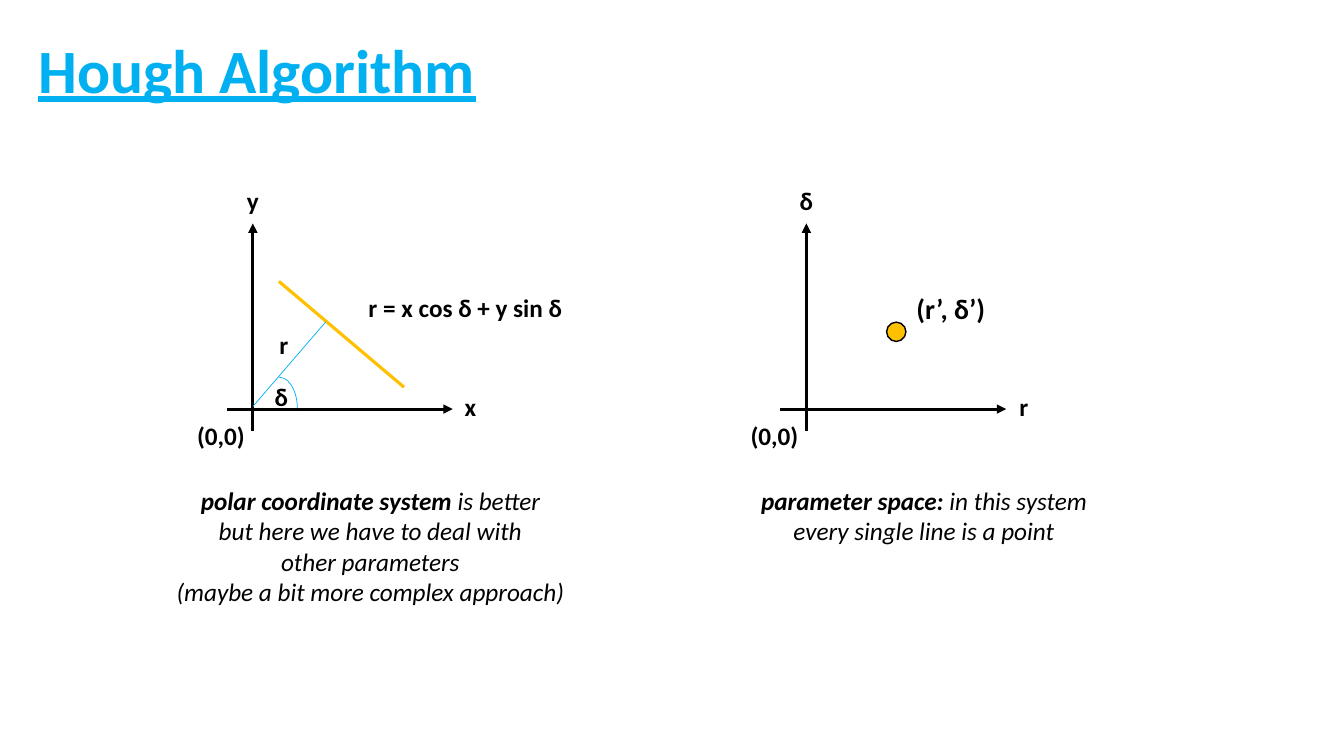
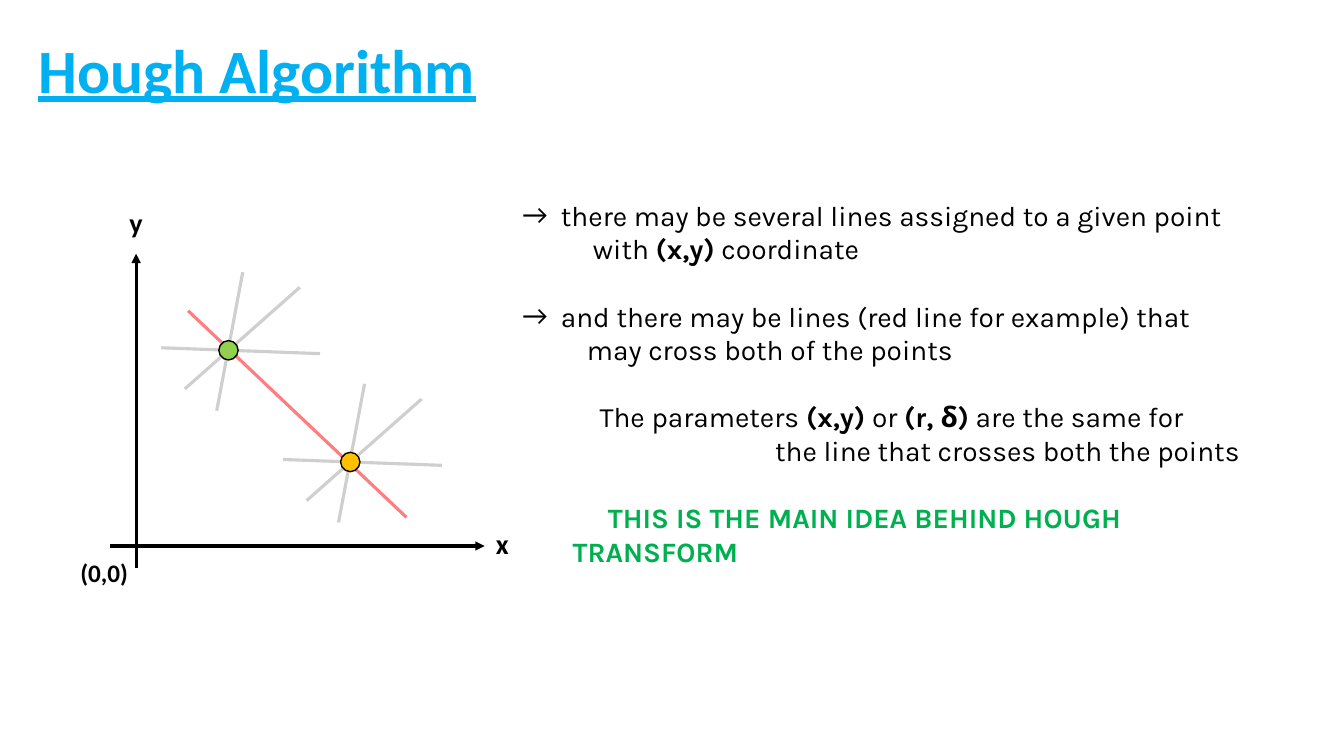
"""Build two slides that explain the Hough algorithm."""
from dataclasses import dataclass

import lxml.etree
import pptx
import pptx.dml.color
import pptx.enum.shapes
import pptx.enum.text
import pptx.oxml.ns
import pptx.util

ALIGN = pptx.enum.text.PP_ALIGN
ANCHOR = pptx.enum.text.MSO_ANCHOR
SHAPE = pptx.enum.shapes.MSO_SHAPE
qn = pptx.oxml.ns.qn


@dataclass(frozen=True)
class Theme:
    """Hold the colours, fonts, type sizes and line widths."""
    ink: str = "000000"
    blue: str = "00B0F0"
    amber: str = "FFC000"
    lime: str = "92D050"
    green: str = "00B050"
    red: str = "FF7C80"
    grey: str = "D0CECE"
    font: str = "Calibri"
    body_font: str = "Karla"
    title: int = 44
    large: int = 20
    label: int = 18
    thick: float = 2.25
    outline: float = 1
    thin: float = 0.5


T = Theme()
COLS, ROWS = 16, 9
CELL = pptx.util.Inches(7.5) // ROWS
DOT = 0.23
SPOKES = [((-0.80, -0.03), (1.09, 0.04)),
          ((-0.52, 0.46), (0.85, -0.75)),
          ((-0.14, 0.72), (0.17, -0.93))]


def grid(*cells):
    """Turn grid cells into slide lengths."""
    return [round(c * CELL) for c in cells]


def rgb(value):
    """Make a colour from its hex code."""
    return pptx.dml.color.RGBColor.from_string(value)


def style(r, size, color=T.ink, font=T.font, bold=False, italic=False):
    """Format one run."""
    r.font.name, r.font.size = font, pptx.util.Pt(size)
    r.font.bold, r.font.italic = bold, italic
    r.font.color.rgb = rgb(color)


def add_text(s, x, y, w, h, anchor=ANCHOR.TOP, wrap=True):
    """Add an empty text box and return its frame."""
    tf = s.shapes.add_textbox(*grid(x, y, w, h)).text_frame
    tf.word_wrap, tf.vertical_anchor = wrap, anchor
    return tf


def add_runs(p, runs, size, **look):
    """Fill a paragraph with runs given as text and weight."""
    for text, bold in runs:
        r = p.add_run()
        r.text = text
        style(r, size, bold=bold, **look)


def add_title(s, text):
    """Add the underlined slide title."""
    tf = add_text(s, 0.34, 0, 13.8, 1.74, ANCHOR.MIDDLE)
    tf.text = text
    p = tf.paragraphs[0]
    p.line_spacing = 0.9
    style(p.runs[0], T.title, T.blue, bold=True)
    p.runs[0].font.underline = True


def add_label(s, center, text, size=T.label, w=0.5):
    """Add a bold label around its centre."""
    h = 0.5
    x, y = center
    tf = add_text(s, x - w / 2, y - h / 2, w, h, ANCHOR.MIDDLE, wrap=False)
    tf.text = text
    tf.paragraphs[0].alignment = ALIGN.CENTER
    style(tf.paragraphs[0].runs[0], size, bold=True)


def add_line(s, start, end, color=T.ink, width=T.thick, arrow=False):
    """Add a straight line, with an arrowhead at its end if asked."""
    kind = pptx.enum.shapes.MSO_CONNECTOR.STRAIGHT
    c = s.shapes.add_connector(kind, *grid(*start, *end))
    c.line.color.rgb = rgb(color)
    c.line.width = pptx.util.Pt(width)
    if arrow:
        ln = c.line._get_or_add_ln()
        lxml.etree.SubElement(ln, qn("a:tailEnd"), type="triangle")
    lxml.etree.SubElement(c._element.spPr, qn("a:effectLst"))


def add_outline(s, kind, box, color, width):
    """Add an unfilled, shadowless preset shape."""
    sp = s.shapes.add_shape(kind, *grid(*box))
    sp.shadow.inherit = False
    sp.fill.background()
    sp.line.color.rgb = rgb(color)
    sp.line.width = pptx.util.Pt(width)
    return sp


def add_dot(s, center, color):
    """Add a filled point around its centre."""
    x, y = center
    box = (x - DOT / 2, y - DOT / 2, DOT, DOT)
    sp = add_outline(s, SHAPE.OVAL, box, T.ink, T.outline)
    sp.fill.solid()
    sp.fill.fore_color.rgb = rgb(color)


def add_axes(s, origin, right, up, names, size=T.label, gap=0.27):
    """Add two labelled axes that cross at the origin."""
    x, y = origin
    add_line(s, (x, y + 0.26), (x, y - up), arrow=True)
    add_line(s, (x - 0.31, y), (x + right, y), arrow=True)
    add_label(s, (x + right + 0.21, y - 0.03), names[0], size)
    add_label(s, (x, y - up - gap), names[1], size)
    add_label(s, (x - 0.38, y + 0.31), "(0,0)", w=1)


def add_caption(s, center, w, h, lines):
    """Add centred italic lines below a diagram."""
    tf = add_text(s, center - w / 2, 5.72, w, h)
    for i, runs in enumerate(lines):
        p = tf.add_paragraph() if i else tf.paragraphs[0]
        p.alignment = ALIGN.CENTER
        add_runs(p, runs, T.label, italic=True)


def add_star(s, center, color):
    """Add a point with the lines that pass through it."""
    x, y = center
    for (x1, y1), (x2, y2) in SPOKES:
        add_line(s, (x + x1, y + y1), (x + x2, y + y2), T.grey)
    add_dot(s, center, color)


def add_body(s, box, items):
    """Add paragraphs given as margin, indent, bullet, gap, colour and runs."""
    tf = add_text(s, *box)
    for i, (margin, indent, bullet, gap, color, runs) in enumerate(items):
        p = tf.add_paragraph() if i else tf.paragraphs[0]
        pPr = p._p.get_or_add_pPr()
        for name, value in zip(("marL", "indent"), grid(margin, indent)):
            pPr.set(name, str(value))
        if bullet:
            lxml.etree.SubElement(pPr, qn("a:buFont"), typeface=T.font)
            lxml.etree.SubElement(pPr, qn("a:buChar"), char=bullet)
        if gap:
            p.space_before = pptx.util.Pt(24)
        add_runs(p, runs, T.large, color=color, font=T.body_font)


def polar_slide(s):
    """Show a line in polar form beside its point in parameter space."""
    add_axes(s, (3.01, 4.87), 2.38, 2.21, "xy")
    add_line(s, (3.32, 3.35), (4.81, 4.61), T.amber)
    add_line(s, (3.01, 4.84), (3.88, 3.83), T.blue, T.thin)
    add_outline(s, SHAPE.ARC, (3.1, 4.49, 0.44, 0.74), T.blue, T.thin)
    add_label(s, (3.38, 4.1), "r")
    add_label(s, (3.35, 4.72), "δ")
    add_label(s, (5.54, 3.66), "r = x cos δ + y sin δ", w=2.7)
    add_caption(s, 4.41, 5, 1.94, [
        [("polar coordinate system ", True), ("is better", False)],
        [("but here we have to deal with", False)],
        [("other parameters", False)],
        [("(maybe a bit more complex approach)", False)]])

    add_axes(s, (9.6, 4.87), 2.38, 2.21, "rδ")
    add_dot(s, (10.67, 3.95), T.amber)
    add_label(s, (11.32, 3.67), "(r’, δ’)", T.large, 1.2)
    add_caption(s, 11, 4.2, 1.21, [
        [("parameter space: ", True), ("in this system", False)],
        [("every single line is a point", False)]])


def lines_slide(s):
    """Show the one line that two points share."""
    add_line(s, (4.84, 6.16), (2.24, 3.7), T.red)
    add_axes(s, (1.62, 6.5), 4.15, 3.48, "xy", T.large, 0.37)
    add_star(s, (2.72, 4.17), T.lime)
    add_star(s, (4.17, 5.5), T.amber)
    add_body(s, (6.1, 2.3, 9.31, 4.16), [
        (0.46, -0.46, "→", False, T.ink,
         [("there may be several lines assigned to a given point", False)]),
        (0.84, 0, None, False, T.ink,
         [("with ", False), ("(x,y)", True), (" coordinate", False)]),
        (0.46, -0.46, "→", True, T.ink,
         [("and there may be lines (red line for example) that", False)]),
        (0.77, 0, None, False, T.ink,
         [("may cross both of the points", False)]),
        (0.92, 0, None, True, T.ink,
         [("The parameters ", False), ("(x,y)", True), (" or ", False),
          ("(r, δ)", True), (" are the same for", False)]),
        (3.01, 0, None, False, T.ink,
         [("the line that crosses both the points", False)]),
        (0.6, 0.42, None, True, T.green,
         [("THIS IS THE MAIN IDEA BEHIND HOUGH TRANSFORM", True)])])


def main():
    """Build and save the presentation."""
    prs = pptx.Presentation()
    prs.slide_width, prs.slide_height = COLS * CELL, ROWS * CELL
    for build in (polar_slide, lines_slide):
        s = prs.slides.add_slide(prs.slide_layouts[6])
        add_title(s, "Hough Algorithm")
        build(s)
    prs.save("out.pptx")


if __name__ == "__main__":
    main()
